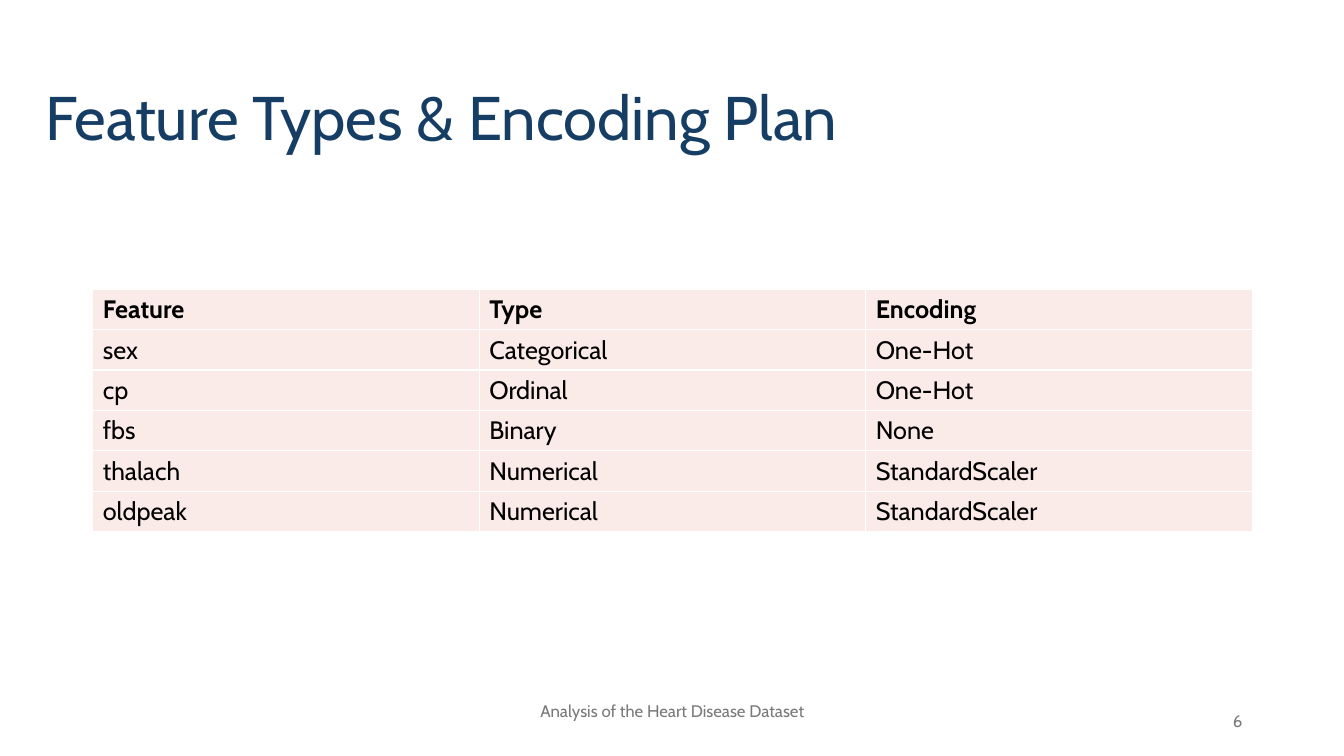
"""Builds the slide on feature types and their encoding plan."""
from lxml import etree
from pptx import Presentation
from pptx import util as u
from pptx.dml.color import RGBColor
from pptx.enum import text
from pptx.oxml import ns

COLORS = {"title": "163E64", "body": "000000", "footer": "797979",
          "cell": "FBEBE8", "border": "FFFFFF"}


def write(frame, words, size=18, color="body", bold=False, align="LEFT",
          anchor="MIDDLE", spacing=1.0):
    frame.word_wrap = True
    frame.vertical_anchor = text.MSO_ANCHOR[anchor]
    line = frame.paragraphs[0]
    line.alignment = text.PP_ALIGN[align]
    line.line_spacing = spacing
    run = line.add_run()
    run.text = words
    run.font.name = "Cabin"
    run.font.size = u.Pt(size)
    run.font.bold = bold
    run.font.color.rgb = RGBColor.from_string(COLORS[color])


deck = Presentation()
deck.slide_width = u.Inches(13.33)
deck.slide_height = u.Inches(7.5)
slide = deck.slides.add_slide(deck.slide_layouts[6])

title = slide.shapes.add_textbox(u.Inches(0.35), u.Inches(0.47), u.Inches(11.5), u.Inches(1.45))
write(title.text_frame, "Feature Types & Encoding Plan", size=44, color="title", spacing=0.9)

features = [
    ("Feature", "Type", "Encoding"),
    ("sex", "Categorical", "One-Hot"),
    ("cp", "Ordinal", "One-Hot"),
    ("fbs", "Binary", "None"),
    ("thalach", "Numerical", "StandardScaler"),
    ("oldpeak", "Numerical", "StandardScaler"),
]
plan = slide.shapes.add_table(len(features), 3, u.Inches(0.92), u.Inches(2.87),
                              u.Inches(11.5), u.Inches(2.4)).table
plan.horz_banding = False
for row, entries in enumerate(features):
    for column, entry in enumerate(entries):
        cell = plan.cell(row, column)
        write(cell.text_frame, entry, bold=row == 0)
        cell.vertical_anchor = text.MSO_ANCHOR.MIDDLE
        properties = cell._tc.get_or_add_tcPr()
        for side in ("lnL", "lnR", "lnT", "lnB"):
            border = etree.SubElement(properties, ns.qn(f"a:{side}"), w=str(u.Pt(1)))
            paint = etree.SubElement(border, ns.qn("a:solidFill"))
            etree.SubElement(paint, ns.qn("a:srgbClr"), val=COLORS["border"])
        cell.fill.solid()
        cell.fill.fore_color.rgb = RGBColor.from_string(COLORS["cell"])

footer = slide.shapes.add_textbox(u.Inches(4.42), u.Inches(6.95), u.Inches(4.5), u.Inches(0.4))
footer.text_frame.margin_top = 0
write(footer.text_frame, "Analysis of the Heart Disease Dataset", size=12, color="footer",
      align="CENTER", anchor="TOP")

page_number = slide.shapes.add_textbox(u.Inches(9.42), u.Inches(6.95), u.Inches(3), u.Inches(0.4))
write(page_number.text_frame, "6", size=12, color="footer", align="RIGHT")

deck.save("out.pptx")
